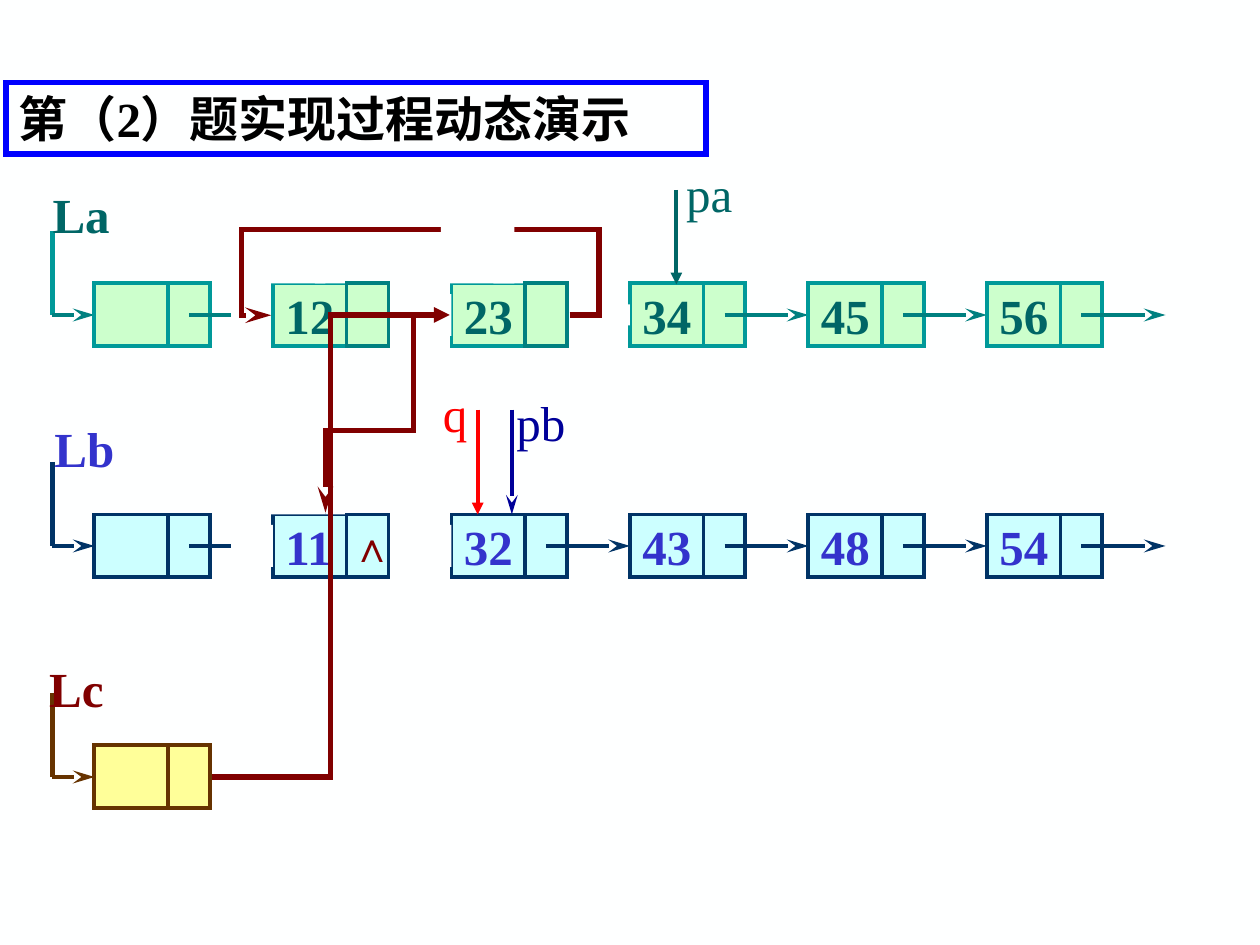
from lxml import etree
from pptx import Presentation
from pptx.dml.color import RGBColor
from pptx.enum.shapes import MSO_CONNECTOR, MSO_SHAPE
from pptx.enum.text import MSO_ANCHOR, PP_ALIGN
from pptx.oxml.ns import qn
from pptx.util import Pt

PAPER = RGBColor(0xFE, 0xFF, 0xFF)
BLACK = RGBColor(0, 0, 0)
BLUE = RGBColor(0, 0, 0xFF)
RED = RGBColor(0xFF, 0, 0)
NAVY = RGBColor(0, 0, 0x99)
MAROON = RGBColor(0x80, 0, 0)
BROWN = RGBColor(0x66, 0x33, 0)
YELLOW = RGBColor(0xFF, 0xFF, 0x99)
TEAL = RGBColor(0, 0x99, 0x99)
DARK_TEAL = RGBColor(0, 0x80, 0x80)
DEEP_TEAL = RGBColor(0, 0x66, 0x66)
MINT = RGBColor(0xCC, 0xFF, 0xCC)
INK = RGBColor(0, 0x33, 0x66)
ICE = RGBColor(0xCC, 0xFF, 0xFF)
INDIGO = RGBColor(0x33, 0x33, 0xCC)
LATIN, CHINESE = "Times New Roman", "Noto Sans CJK SC"

# Node grid
LEFT, STEP, WIDTH, HEIGHT = 54, 102, 66, 36
DIVIDER, LINK_START = 42, 54
CUT_END = 132

deck = Presentation()
deck.slide_width, deck.slide_height = Pt(720), Pt(540)
page = deck.slides.add_slide(deck.slide_layouts[5])
page.background.fill.solid()
page.background.fill.fore_color.rgb = PAPER


def add_line(start, end, color, weight, head=None, elbow=None, adjust=()):
    kind = MSO_CONNECTOR.ELBOW if elbow else MSO_CONNECTOR.STRAIGHT
    line = page.shapes.add_connector(kind, *map(Pt, start + end))
    line.line.color.rgb = color
    line.line.width = Pt(weight)
    properties = line._element.spPr
    outline = line.line._get_or_add_ln()
    etree.SubElement(outline, qn("a:miter"), lim="800000")
    if head:
        length = "lg" if head == "stealth" else "med"
        etree.SubElement(outline, qn("a:tailEnd"), type=head, w="med", len=length)
    etree.SubElement(properties, qn("a:effectLst"))
    if elbow:
        geometry = properties.find(qn("a:prstGeom"))
        geometry.set("prst", elbow)
        guides = geometry.find(qn("a:avLst"))
        for number, value in enumerate(adjust, 1):
            etree.SubElement(guides, qn("a:gd"), name=f"adj{number}", fmla=f"val {value}")


def add_box(x, y, width, height, fill=None, border=None, text="",
            color=BLACK, size=28, bold=True):
    place = [Pt(value) for value in (x, y, width, height)]
    if fill is None:
        box = page.shapes.add_textbox(*place)
    else:
        box = page.shapes.add_shape(MSO_SHAPE.RECTANGLE, *place)
        box.shadow.inherit = False
        box.fill.solid()
        box.fill.fore_color.rgb = fill
        if border is None:
            box.line.fill.background()
        else:
            box.line.color.rgb = border
            box.line.width = Pt(2.25)
            etree.SubElement(box.line._get_or_add_ln(), qn("a:miter"), lim="800000")
    if text:
        frame = box.text_frame
        frame.word_wrap = True
        frame.vertical_anchor = MSO_ANCHOR.TOP if fill is None else MSO_ANCHOR.MIDDLE
        para = frame.paragraphs[0]
        para.text = text
        para.alignment = PP_ALIGN.LEFT
        para.font.name, para.font.size = LATIN, Pt(size)
        para.font.bold, para.font.color.rgb = bold, color


# The three linked lists; links leave the head (cut short) and the nodes from "linked" on
lists = [
    (162, ["", "12", "23", "34", "45", "56"], MINT, TEAL, DARK_TEAL, DEEP_TEAL, 3),
    (294, ["", "11", "32", "43", "48", "54"], ICE, INK, INK, INDIGO, 2),
    (426, [""], YELLOW, BROWN, BROWN, BROWN, 1),
]
for top, values, fill, border, link, color, linked in lists:
    middle = top + HEIGHT / 2
    add_line((30, top - 30), (30, middle), border, 2.5)
    add_line((30, middle), (LEFT, middle), link, 2.5, "stealth")
    for index, value in enumerate(values):
        x = LEFT + index * STEP
        add_box(x, top, WIDTH, HEIGHT, fill, border, value, color)
        add_line((x + DIVIDER, top), (x + DIVIDER, top + HEIGHT), border, 2.25)
        if index >= linked:
            add_line((x + LINK_START, middle), (x + STEP, middle), link, 2.5, "stealth")
    if len(values) > 1:
        add_line((LEFT + LINK_START, middle), (CUT_END, middle), link, 2.5)

# List names
for x, y, name, color in [(23, 102, "La", DEEP_TEAL), (24, 235.5, "Lb", INDIGO),
                          (21, 373, "Lc", MAROON)]:
    add_box(x, y, 54, 41, text=name, color=color)

# Paper patches that open the node borders
for patch in [(186, 228, 42, 66), (204, 300, 54, 24), (150, 222, 36, 72),
              (138, 300, 18, 24), (204, 168, 54, 24), (180, 96, 42, 66),
              (150, 90, 36, 72), (282, 102, 42, 60), (306, 174, 54, 12)]:
    add_box(*patch, fill=PAPER)

# Link fields that were rewritten
for x, y, fill, border in [(198, 294, ICE, INK), (198, 162, MINT, DARK_TEAL),
                           (300, 162, MINT, DARK_TEAL)]:
    add_box(x, y, 24, HEIGHT, fill, border)
add_box(194, 294, 36, 36, text="∧", color=MAROON, size=24)

# New links: 12 to 11, Lc to 23, 23 to 12
add_line((220.5, 180), (186, 293), MAROON, 3, "stealth", "bentConnector4", (-45400, 58400))
add_line((121, 444), (257, 180), MAROON, 3, "triangle", "bentConnector3", (50000,))
add_line((325.5, 180), (155, 180.17), MAROON, 3, "stealth", "bentConnector5",
         (-9900, -28800000, 109900))
add_box(252, 96, 42, 66, fill=PAPER)

# Pointers
for name, x, y, color, arrow_x, arrow_top, arrow_end, head in [
        ("pa", 385, 90, DEEP_TEAL, 386.5, 108.5, 162.5, "triangle"),
        ("q", 246, 215.5, RED, 273, 234, 294, "triangle"),
        ("pb", 288, 221, NAVY, 292.5, 234, 294, "stealth")]:
    add_box(x, y, 48, 41, text=name, color=color, bold=False)
    add_line((arrow_x, arrow_top), (arrow_x, arrow_end), color, 2.25, head)

# Title
title = page.shapes.title
title.left, title.top, title.width, title.height = Pt(3.5), Pt(47), Pt(400), Pt(41)
title.line.color.rgb = BLUE
title.line.width = Pt(3)
etree.SubElement(title.line._get_or_add_ln(), qn("a:miter"), lim="800000")
title.text_frame.vertical_anchor = MSO_ANCHOR.MIDDLE
para = title.text_frame.paragraphs[0]
para.alignment = PP_ALIGN.LEFT
para.font.size, para.font.bold, para.font.color.rgb = Pt(28), True, BLACK
for text, font in [("第", CHINESE), ("（2）", LATIN), ("题实现过程动态演示", CHINESE)]:
    span = para.add_run()
    span.text = text
    span.font.name = font
    etree.SubElement(span._r.get_or_add_rPr(), qn("a:ea"), typeface=CHINESE)

deck.save("out.pptx")
